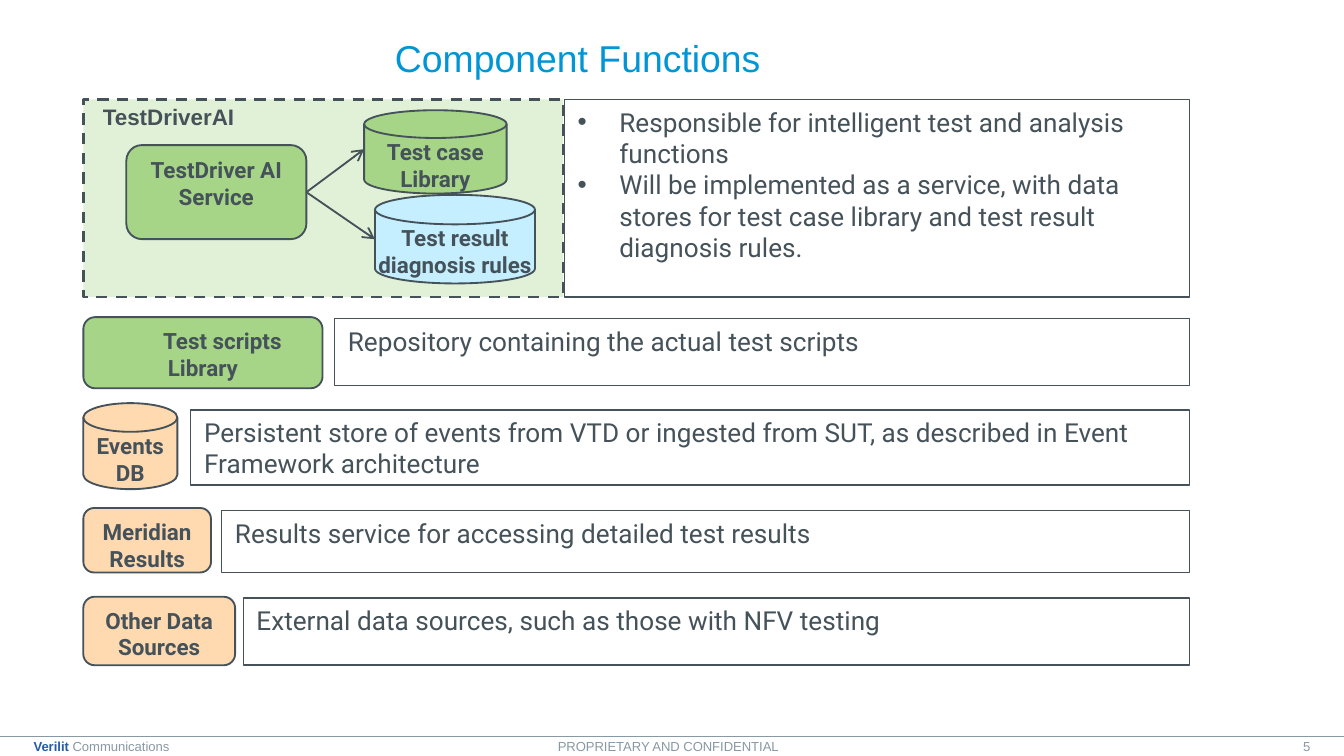
from lxml import etree
from pptx import Presentation
from pptx import util as u
from pptx.dml.color import RGBColor
from pptx.enum import dml, shapes, text
from pptx.oxml import ns

COLORS = {
    "ink": "45525A", "title": "0096D6", "panel": "E1F1D7", "green": "A6D588",
    "sky": "C5EFFF", "peach": "FFD9AF", "footer": "8899A4", "company": "255AA7",
}
INSETS = (0.1, 0.05, 0.1, 0.05)
NONE = (0, 0, 0, 0)
ROUND = shapes.MSO_SHAPE.ROUNDED_RECTANGLE
DISK = shapes.MSO_SHAPE.FLOWCHART_MAGNETIC_DISK
RECT = shapes.MSO_SHAPE.RECTANGLE
LEFT, CENTER, RIGHT = text.PP_ALIGN.LEFT, text.PP_ALIGN.CENTER, text.PP_ALIGN.RIGHT
TOP, MIDDLE = text.MSO_ANCHOR.TOP, text.MSO_ANCHOR.MIDDLE
EDGE_LEFT, EDGE_RIGHT = 0.62, 8.85


def color(name):
    """Return the palette colour with this name."""
    return RGBColor.from_string(COLORS[name])


def style(font, size, name, tint="ink", bold=False):
    """Set the size, typeface, colour and weight of a font."""
    font.size, font.name, font.bold = u.Pt(size), name, bold
    font.color.rgb = color(tint)


def write(box, lines, size, name="Roboto", tint="ink", bold=False, align=LEFT,
          anchor=TOP, insets=INSETS, wrap=True):
    """Fill a box with formatted paragraphs and return them."""
    frame = box.text_frame
    frame.word_wrap, frame.vertical_anchor = wrap, anchor
    if not wrap:
        frame.auto_size = text.MSO_AUTO_SIZE.SHAPE_TO_FIT_TEXT
    (frame.margin_left, frame.margin_top,
     frame.margin_right, frame.margin_bottom) = map(u.Inches, insets)
    frame.text = "\n".join(lines)
    for para in frame.paragraphs:
        para.alignment = align
        for span in para.runs:
            style(span.font, size, name, tint, bold)
    return frame.paragraphs


def indent(para, margin, first):
    """Set the left margin and first-line indent of a paragraph."""
    properties = para._p.get_or_add_pPr()
    properties.set("marL", str(u.Inches(margin)))
    properties.set("indent", str(u.Inches(first)))
    return properties


def add_box(page, kind, at, fill=None, width=1.0):
    """Add an outlined preset shape."""
    box = page.shapes.add_shape(kind, *map(u.Inches, at))
    box.shadow.inherit = False
    if fill:
        box.fill.solid()
        box.fill.fore_color.rgb = color(fill)
    else:
        box.fill.background()
    box.line.color.rgb, box.line.width = color("ink"), u.Pt(width)
    return box


def add_text(page, at, lines, size, **options):
    """Add a text box with formatted paragraphs."""
    box = page.shapes.add_textbox(*map(u.Inches, at))
    return write(box, lines, size, **options)


def add_component(page, kind, at, lines, fill, insets=INSETS):
    """Add a labelled component shape."""
    return write(add_box(page, kind, at, fill), lines, 12, bold=True,
                 align=CENTER, insets=insets)


def add_line(page, start, end, tint="ink", width=1.0, arrow=False):
    """Add a straight line, with an open arrowhead at its end if wanted."""
    line = page.shapes.add_connector(shapes.MSO_CONNECTOR.STRAIGHT,
                                     *map(u.Inches, (*start, *end)))
    line.line.color.rgb, line.line.width = color(tint), u.Pt(width)
    if arrow:
        etree.SubElement(line.line._get_or_add_ln(), ns.qn("a:tailEnd"), type="arrow")
    etree.SubElement(line._element.spPr, ns.qn("a:effectLst"))


def add_description(page, left, top, height, lines, bullets=False):
    """Add a description box that reaches the right edge."""
    box = add_box(page, RECT, (left, top, EDGE_RIGHT - left, height), width=0.75)
    paras = write(box, lines, 14)
    for para in paras if bullets else ():
        properties = indent(para, 0.31, -0.31)
        etree.SubElement(properties, ns.qn("a:buFont"), typeface="Arial")
        etree.SubElement(properties, ns.qn("a:buChar"), char="•")


def add_service_panel(page, left, top, width, height):
    """Draw the AI service with its two data stores in a dashed panel."""
    panel = add_box(page, RECT, (left, top, width, height), "panel", 1.5)
    panel.line.dash_style = dml.MSO_LINE.DASH
    add_component(page, ROUND, (left + 0.32, top + 0.34, 1.34, 0.7),
                  ["TestDriver AI Service"], "green")
    add_component(page, DISK, (left + 2.09, top + 0.08, 1.06, 0.62),
                  ["Test case Library"], "green", (0.1, 0, 0.1, 0.05))
    add_component(page, DISK, (left + 2.17, top + 0.71, 1.19, 0.66),
                  ["Test result diagnosis rules"], "sky", NONE)
    for x, y in ((2.09, 0.37), (2.17, 1.04)):
        add_line(page, (left + 1.66, top + 0.69), (left + x, top + y), arrow=True)
    label = add_text(page, (left, top + 0.01, 1.27, 0.23), ["TestDriverAI"], 12,
                     name="Arial", bold=True, align=CENTER)
    label[0].line_spacing = u.Pt(12)


def add_row(page, top, height, component, description):
    """Draw a component beside its description."""
    kind, width, lines, fill, insets = component
    paras = add_component(page, kind, (EDGE_LEFT, top, width, height), lines, fill, insets)
    add_description(page, *description)
    return paras


def add_footer(page, top, width):
    """Draw the footer rule, company, notice and page number."""
    add_line(page, (0, top), (width, top), "footer", 0.5)
    look = dict(name="Arial", tint="footer", anchor=MIDDLE)
    add_text(page, (0, top, width, 0.14), ["5"], 7, align=RIGHT,
             insets=(0.1, 0.05, 0.25, 0.05), **look)
    company = add_text(page, (0, top + 0.01, 1.35, 0.12), ["Verilit "], 7,
                       insets=(0.25, 0, 0, 0), wrap=False, **look)[0]
    style(company.runs[0].font, 7, "Arial", "company", True)
    span = company.add_run()
    span.text = "Communications"
    style(span.font, 7, "Arial", "footer")
    add_text(page, (4.15, top + 0.01, 1.68, 0.12), ["PROPRIETARY AND CONFIDENTIAL"],
             7, insets=NONE, wrap=False, **look)


def main():
    """Build the component functions slide."""
    deck = Presentation()
    deck.slide_width, deck.slide_height = u.Inches(10), u.Inches(10 * 9 / 16)
    page = deck.slides.add_slide(deck.slide_layouts[6])
    add_footer(page, 5.48, 10)
    add_text(page, (0, 0.26, EDGE_RIGHT, 0.34), ["Component Functions"], 20, name="Arial",
             tint="title", align=CENTER, anchor=MIDDLE, insets=(0.25, 0, 0.5, 0))
    add_service_panel(page, EDGE_LEFT, 0.74, 3.57, 1.47)
    add_description(page, 4.2, 0.74, 1.47, [
        "Responsible for intelligent test and analysis functions",
        "Will be implemented as a service, with data stores for test case library "
        "and test result diagnosis rules."], bullets=True)
    scripts = add_row(
        page, 2.36, 0.53, (ROUND, 1.78, ["Test scripts Library"], "green", INSETS),
        (2.49, 2.37, 0.5, ["Repository containing the actual test scripts"]))
    indent(scripts[0], 0, 0.29)
    add_row(page, 3, 0.64, (DISK, 0.7, ["Events DB"], "peach", NONE),
            (1.42, 3.05, 0.56, ["Persistent store of events from VTD or ingested from SUT, "
                                "as described in Event Framework architecture"]))
    add_row(page, 3.78, 0.48, (ROUND, 0.95, ["Meridian", "Results"], "peach", INSETS),
            (1.65, 3.8, 0.46, ["Results service for accessing detailed test results"]))
    add_row(page, 4.44, 0.51, (ROUND, 1.13, ["Other Data Sources"], "peach", INSETS),
            (1.81, 4.45, 0.5, ["External data sources, such as those with NFV testing"]))
    deck.save("out.pptx")


if __name__ == "__main__":
    main()
